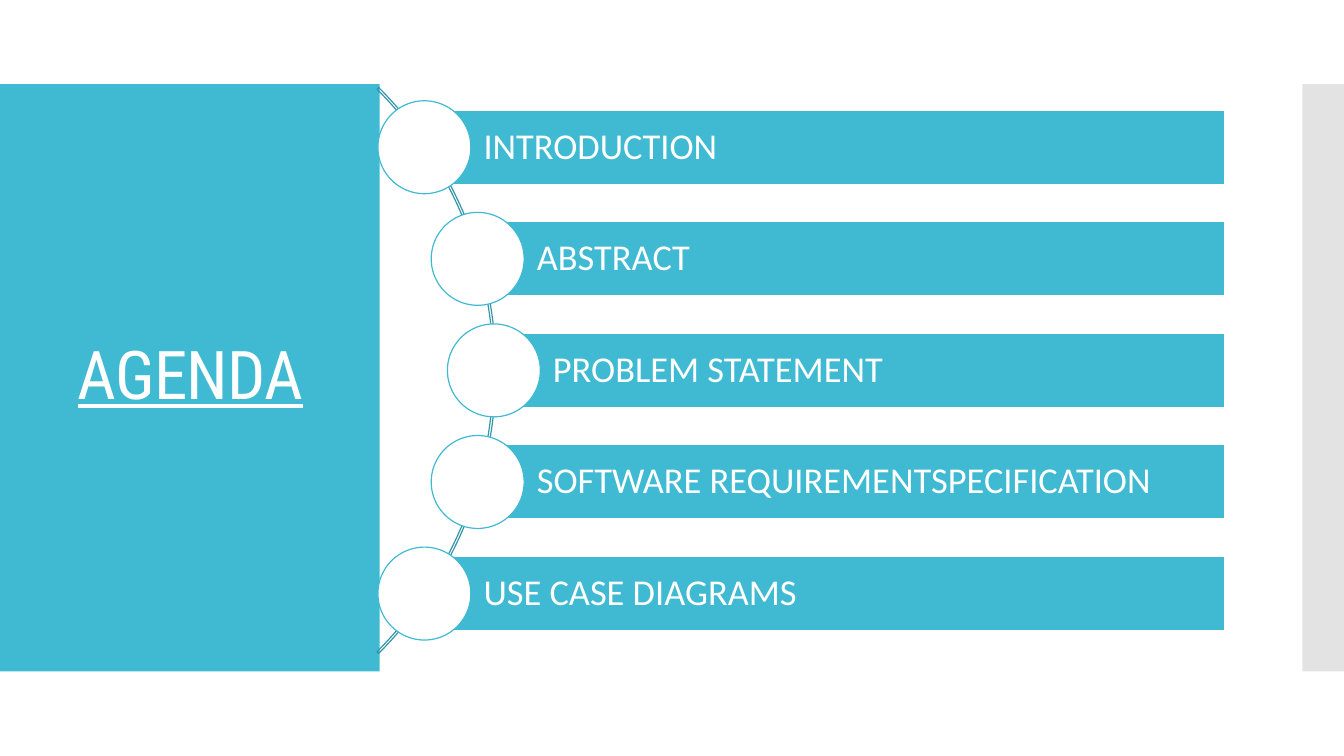
from dataclasses import dataclass
from math import sqrt

from lxml import etree
from pptx import Presentation
from pptx import util as u
from pptx.dml.color import RGBColor
from pptx.enum import shapes, text
from pptx.oxml import ns
from pptx.shapes.autoshape import Shape
from pptx.slide import Slide
from pptx.text.text import TextFrame


@dataclass(frozen=True)
class Theme:
    accent: str = "40BAD2"
    arc: str = "3395A8"
    strip: str = "C8C8C8"
    white: str = "FFFFFF"
    title_font: str = "Roboto Condensed"
    body_font: str = "Calibri"
    title_size: float = 48
    body_size: float = 26
    line_width: float = 0.85


@dataclass(frozen=True)
class Box:
    left: float
    top: float
    width: float
    height: float


@dataclass(frozen=True)
class AgendaItem:
    label: str
    center_x: float
    center_y: float


THEME = Theme()
SLIDE_WIDTH, SLIDE_HEIGHT = 960, 540

# Agenda geometry, in points: the circles follow a curve around the panel
MIDDLE_Y = 264.6
ROW_PITCH = 79.7
CURVE_X, CURVE_RADIUS = 72, 280.8
ARC_X, ARC_RADIUS = 68.4, 285.8
CIRCLE_SIZE = 66.4
BAR_HEIGHT = 53
BAR_RIGHT = 874.6
LABELS = (
    "INTRODUCTION",
    "ABSTRACT",
    "PROBLEM STATEMENT",
    "SOFTWARE REQUIREMENTSPECIFICATION",
    "USE CASE DIAGRAMS",
)


def color(value: str) -> RGBColor:
    return RGBColor.from_string(value)


def add_box(slide: Slide, kind: shapes.MSO_SHAPE, box: Box,
            fill: str | None = None, line: str | None = None) -> Shape:
    shape = slide.shapes.add_shape(
        kind, u.Pt(box.left), u.Pt(box.top), u.Pt(box.width), u.Pt(box.height))
    shape.shadow.inherit = False
    if fill:
        shape.fill.solid()
        shape.fill.fore_color.rgb = color(fill)
    else:
        shape.fill.background()
    if line:
        shape.line.color.rgb = color(line)
        shape.line.width = u.Pt(THEME.line_width)
    else:
        shape.line.fill.background()
    return shape


def write_text(frame: TextFrame, wording: str, font: str, size: float,
               alignment: text.PP_ALIGN, underline: bool = False,
               letter_spacing: float = 0) -> None:
    frame.word_wrap = True
    frame.auto_size = text.MSO_AUTO_SIZE.NONE
    frame.vertical_anchor = text.MSO_ANCHOR.MIDDLE
    paragraph = frame.paragraphs[0]
    paragraph.alignment = alignment
    paragraph.line_spacing = 0.9
    run = paragraph.add_run()
    run.text = wording
    run.font.name = font
    run.font.size = u.Pt(size)
    run.font.color.rgb = color(THEME.white)
    if underline:
        run.font.underline = True
    if letter_spacing:
        run.font._element.set("spc", str(round(letter_spacing * 100)))


def add_panels(slide: Slide) -> None:
    add_box(slide, shapes.MSO_SHAPE.RECTANGLE, Box(0, 60, 271.2, 419.6), THEME.accent)
    strip = add_box(slide, shapes.MSO_SHAPE.RECTANGLE,
                    Box(930.2, 60, 29.8, 419.6), THEME.strip)
    strip_color = strip._element.spPr.find(
        f"{ns.qn('a:solidFill')}/{ns.qn('a:srgbClr')}")
    etree.SubElement(strip_color, ns.qn("a:alpha"), val="50000")


def add_title(slide: Slide) -> None:
    title = slide.shapes.title
    title.left, title.top = u.Pt(20.2), u.Pt(88.6)
    title.width, title.height = u.Pt(231.8), u.Pt(362.2)
    write_text(title.text_frame, "AGENDA", THEME.title_font, THEME.title_size,
               text.PP_ALIGN.CENTER, underline=True, letter_spacing=-0.6)
    # Bring the title in front of the panels
    slide.shapes._spTree.append(title._element)


def add_arc(slide: Slide) -> None:
    arc = add_box(slide, shapes.MSO_SHAPE.BLOCK_ARC,
                  Box(ARC_X - ARC_RADIUS, MIDDLE_Y - ARC_RADIUS,
                      2 * ARC_RADIUS, 2 * ARC_RADIUS), line=THEME.arc)
    for index, value in enumerate((189, 27, 0.003)):
        arc.adjustments[index] = value


def add_item(slide: Slide, item: AgendaItem) -> None:
    bar = add_box(slide, shapes.MSO_SHAPE.RECTANGLE,
                  Box(item.center_x, item.center_y - BAR_HEIGHT / 2,
                      BAR_RIGHT - item.center_x, BAR_HEIGHT),
                  THEME.accent, THEME.white)
    frame = bar.text_frame
    frame.margin_left = u.Pt(42.2)
    frame.margin_top = frame.margin_right = frame.margin_bottom = u.Pt(5)
    write_text(frame, item.label, THEME.body_font, THEME.body_size, text.PP_ALIGN.LEFT)
    add_box(slide, shapes.MSO_SHAPE.OVAL,
            Box(item.center_x - CIRCLE_SIZE / 2, item.center_y - CIRCLE_SIZE / 2,
                CIRCLE_SIZE, CIRCLE_SIZE), THEME.white, THEME.accent)


def agenda_items() -> list[AgendaItem]:
    items = []
    for index, label in enumerate(LABELS):
        offset = (index - (len(LABELS) - 1) / 2) * ROW_PITCH
        center_x = CURVE_X + sqrt(CURVE_RADIUS ** 2 - offset ** 2)
        items.append(AgendaItem(label, center_x, MIDDLE_Y + offset))
    return items


def main() -> None:
    presentation = Presentation()
    presentation.slide_width = u.Pt(SLIDE_WIDTH)
    presentation.slide_height = u.Pt(SLIDE_HEIGHT)
    slide = presentation.slides.add_slide(presentation.slide_layouts[5])
    slide.background.fill.solid()
    slide.background.fill.fore_color.rgb = color(THEME.white)

    # Side panels and title
    add_panels(slide)
    add_title(slide)

    # Curved agenda list
    add_arc(slide)
    for item in agenda_items():
        add_item(slide, item)

    presentation.save("out.pptx")


if __name__ == "__main__":
    main()
